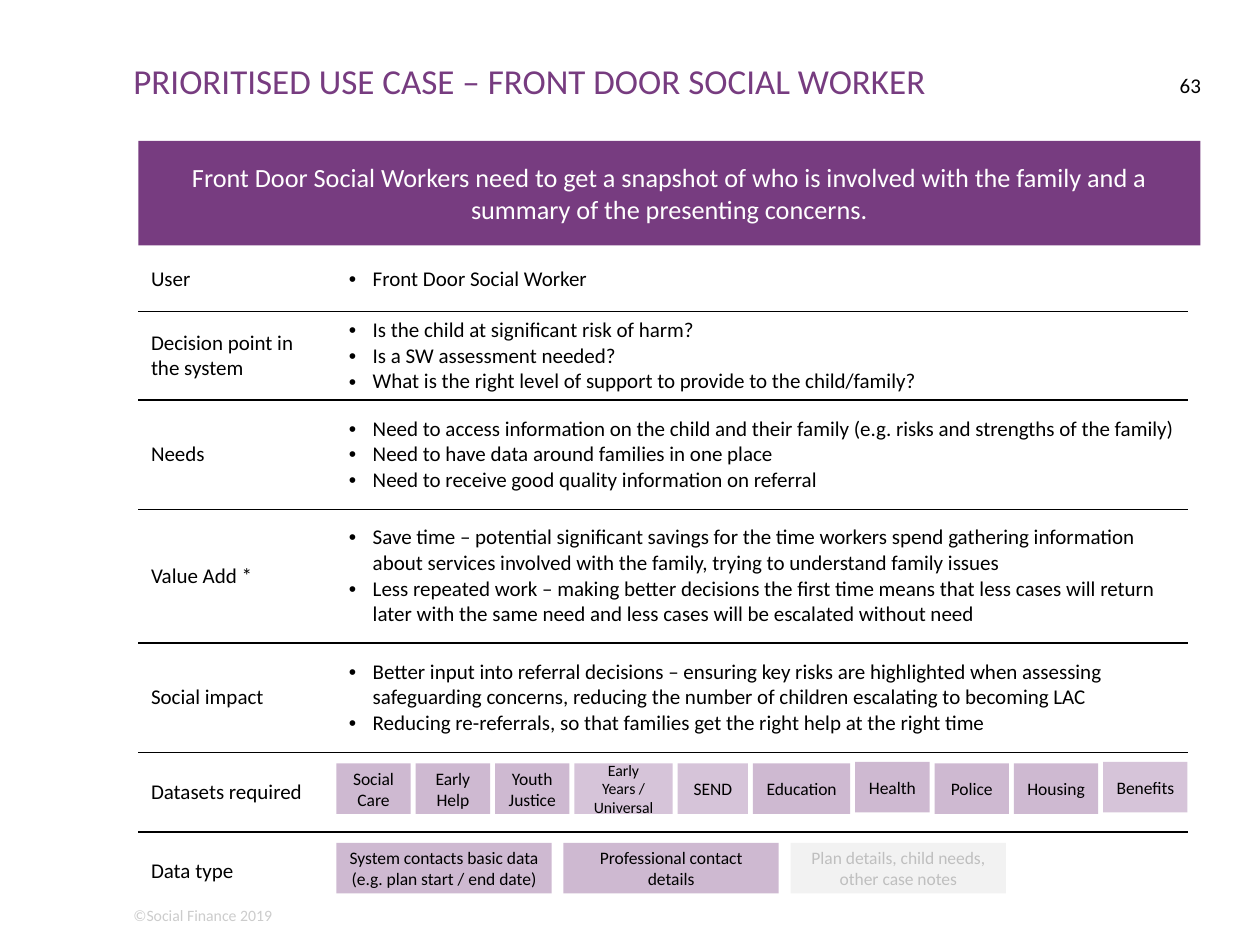
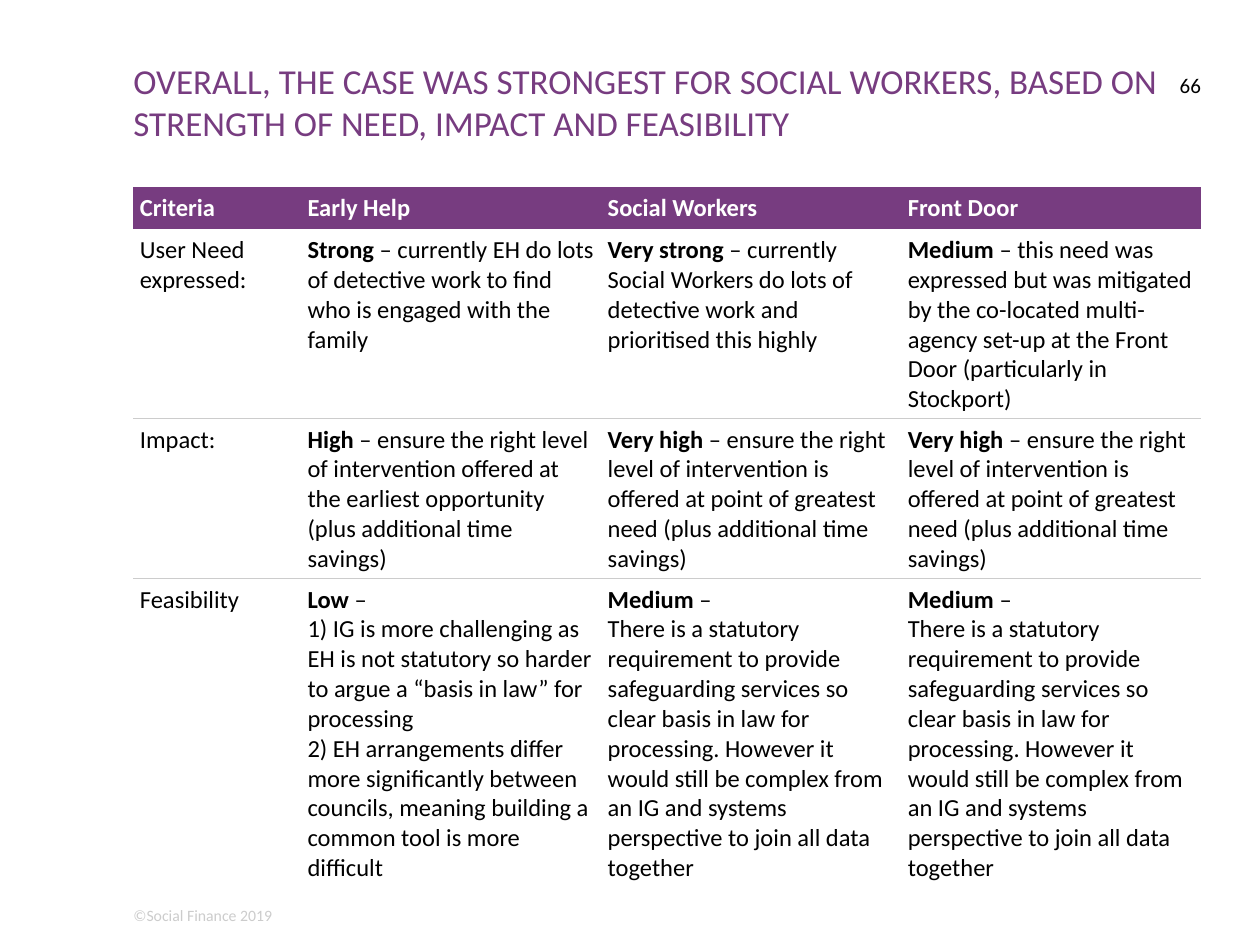
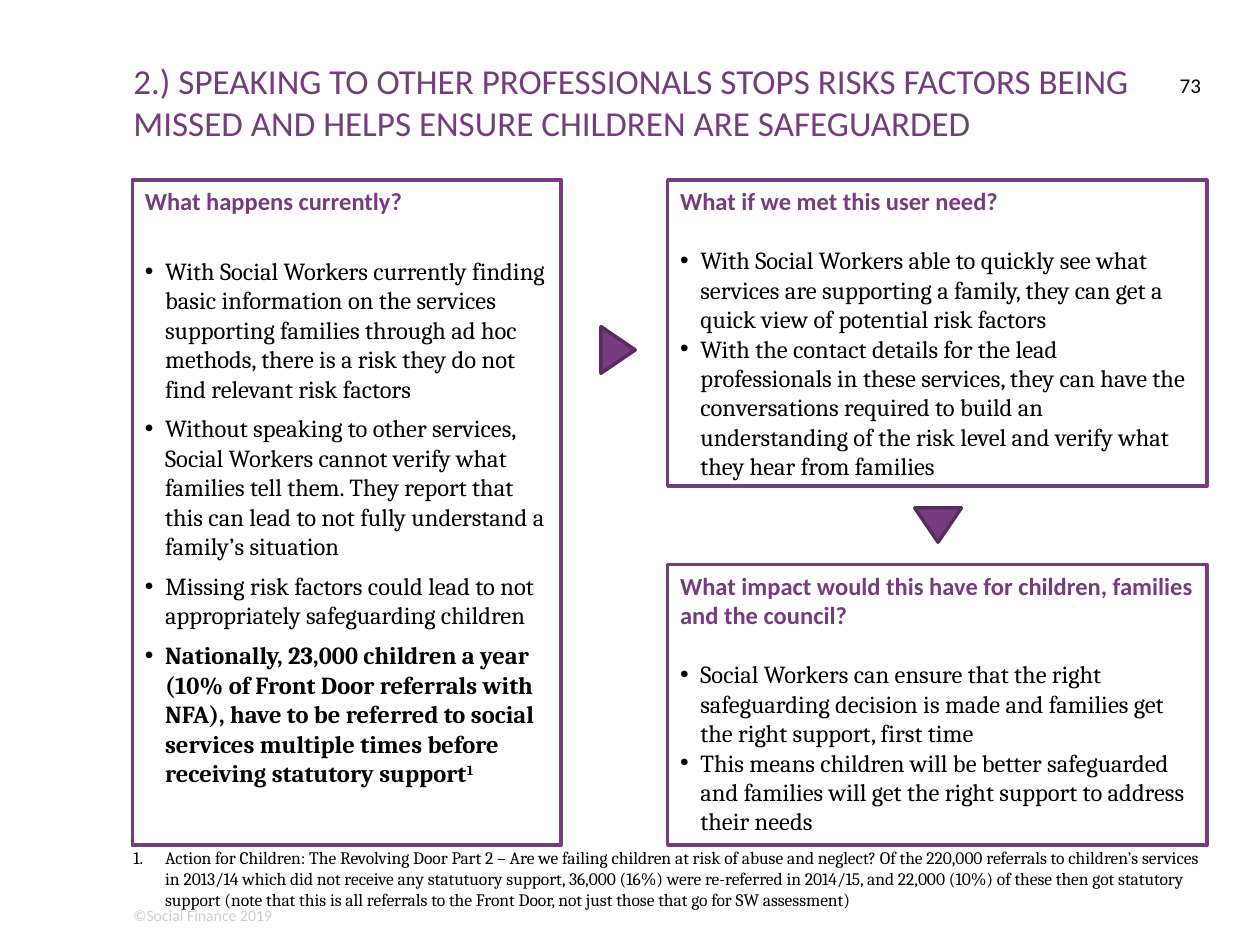
from dataclasses import dataclass
from typing import Any, Optional, Sequence

import pptx
import pptx.dml.color
import pptx.enum.shapes
import pptx.enum.text
import pptx.oxml.ns
import pptx.util
from lxml import etree

Cm = pptx.util.Cm
Pt = pptx.util.Pt
qn = pptx.oxml.ns.qn
ALIGN = pptx.enum.text.PP_ALIGN
ANCHOR = pptx.enum.text.MSO_ANCHOR
SHAPE = pptx.enum.shapes.MSO_SHAPE

COLORS = {
    "purple": "773C80",
    "dark_purple": "582C5F",
    "lilac": "CEB9D1",
    "pale_lilac": "D6C4D9",
    "light_grey": "F2F2F2",
    "mid_grey": "BFBFBF",
    "rule_grey": "CCCCCC",
    "black": "000000",
    "white": "FFFFFF",
}
HEADING_FONT, BODY_FONT = "Calibri", "Cambria"
NO_GRID_STYLE = "{2D5ABB26-0587-4C30-8999-92F81FD0307C}"
LEFT = 2.69


@dataclass(frozen=True)
class Box:
    """A place on the slide, in centimetres."""
    left: float
    top: float
    width: float
    height: float


@dataclass(frozen=True)
class Run:
    text: str
    bold: Optional[bool] = None
    superscript: bool = False


@dataclass(frozen=True)
class Para:
    runs: tuple[Run, ...]
    size: float = 12
    color: str = "black"
    font: str = HEADING_FONT
    bold: Optional[bool] = None
    align: Any = ALIGN.LEFT
    indent: float = 0
    bullet: str = ""
    before: float = 0


@dataclass(frozen=True)
class Chip:
    """A small labelled block in a row of blocks."""
    label: str
    width: float
    fill: str = "lilac"
    color: str = "black"
    size: float = 10
    rise: float = 0


@dataclass(frozen=True)
class UseCaseRow:
    label: str
    height: float
    points: tuple[str, ...] = ()


@dataclass(frozen=True)
class Verdict:
    rating: str
    reason: str
    details: tuple[str, ...] = ()


@dataclass(frozen=True)
class Criterion:
    label: str
    height: float
    verdicts: tuple[Verdict, ...]


@dataclass(frozen=True)
class Panel:
    box: Box
    heading: str
    points: tuple[tuple[Run, ...], ...]
    first_gap: float = 17
    gap: float = 0


def rgb(name: str) -> Any:
    return pptx.dml.color.RGBColor.from_string(COLORS[name])


def para(text: str, **style: Any) -> Para:
    return Para((Run(text),), **style)


def write(frame: Any, paras: Sequence[Para]) -> None:
    for index, item in enumerate(paras):
        line = frame.paragraphs[0] if index == 0 else frame.add_paragraph()
        line.alignment = item.align
        if item.before:
            line.space_before = Pt(item.before)
        if item.bullet:
            add_bullet(line, item.bullet, item.indent)
        line.font.size = Pt(item.size)
        line.font.name = item.font
        line.font.color.rgb = rgb(item.color)
        if item.bold is not None:
            line.font.bold = item.bold
        for part in item.runs:
            run = line.add_run()
            run.text = part.text
            if part.bold is not None:
                run.font.bold = part.bold
            if part.superscript:
                run._r.get_or_add_rPr().set("baseline", "30000")


def add_bullet(line: Any, bullet: str, indent: float) -> None:
    """Hang the paragraph on a bullet character, or on a number if bullet is "1."."""
    props = line._p.get_or_add_pPr()
    props.set("marL", str(Cm(indent)))
    props.set("indent", str(-Cm(indent)))
    if bullet == "1.":
        etree.SubElement(props, qn("a:buAutoNum"), type="arabicPeriod")
    else:
        etree.SubElement(props, qn("a:buFont"), typeface="Arial")
        etree.SubElement(props, qn("a:buChar"), char=bullet)


def place(box: Box) -> tuple[Any, ...]:
    return Cm(box.left), Cm(box.top), Cm(box.width), Cm(box.height)


def add_text(slide: Any, box: Box, item: Para) -> None:
    """Add a text box without inner margins."""
    frame = slide.shapes.add_textbox(*place(box)).text_frame
    frame.word_wrap = True
    frame.margin_left = frame.margin_right = frame.margin_top = frame.margin_bottom = 0
    write(frame, [item])


def add_block(slide: Any, box: Box, fill: str, paras: Sequence[Para] = (), line: str = "",
              anchor: Any = ANCHOR.MIDDLE, kind: Any = SHAPE.RECTANGLE) -> Any:
    block = slide.shapes.add_shape(kind, *place(box))
    block.shadow.inherit = False
    block.fill.solid()
    block.fill.fore_color.rgb = rgb(fill)
    if line:
        block.line.color.rgb = rgb(line)
        block.line.width = Pt(2)
    else:
        block.line.fill.background()
    block.text_frame.word_wrap = True
    block.text_frame.vertical_anchor = anchor
    write(block.text_frame, paras)
    return block


def add_chips(slide: Any, left: float, top: float, gap: float, chips: Sequence[Chip]) -> None:
    for chip in chips:
        label = para(chip.label, size=chip.size, color=chip.color, align=ALIGN.CENTER)
        add_block(slide, Box(left, top - chip.rise, chip.width, 1.02), chip.fill, [label])
        left += chip.width + gap


def add_grid(slide: Any, left: float, top: float, widths: Sequence[float],
             heights: Sequence[float]) -> Any:
    """Add a table without style, sized by its columns and rows."""
    box = Box(left, top, sum(widths), sum(heights))
    frame = slide.shapes.add_table(len(heights), len(widths), *place(box))
    grid = frame.table
    grid.first_row = grid.horz_banding = False
    grid._tbl.tblPr.find(qn("a:tableStyleId")).text = NO_GRID_STYLE
    for column, width in zip(grid.columns, widths):
        column.width = Cm(width)
    for row, height in zip(grid.rows, heights):
        row.height = Cm(height)
    for cell in grid.iter_cells():
        cell.fill.background()
    return grid


def rule_below(row: Any, color: str) -> None:
    for cell in row.cells:
        edge = etree.Element(qn("a:lnB"), w=str(Pt(1)))
        fill = etree.SubElement(edge, qn("a:solidFill"))
        etree.SubElement(fill, qn("a:srgbClr"), val=COLORS[color])
        cell._tc.get_or_add_tcPr().insert(0, edge)


def add_page(deck: Any, title: str, number: int, title_width: float) -> Any:
    slide = deck.slides.add_slide(deck.slide_layouts[6])
    add_text(slide, Box(LEFT, 18.26, 21.44, 0.38),
             para("©Social Finance 2019", size=9, color="rule_grey"))
    add_text(slide, Box(LEFT, 1.19, title_width, 1.88), para(title, size=20, color="purple"))
    add_text(slide, Box(23.5, 1.47, 0.71, 1.02), para(str(number), align=ALIGN.RIGHT))
    return slide


USE_CASE = (
    UseCaseRow("User", 1.3, ("Front Door Social Worker",)),
    UseCaseRow("Decision point in the system", 1.7, (
        "Is the child at significant risk of harm?",
        "Is a SW assessment needed?",
        "What is the right level of support to provide to the child/family?")),
    UseCaseRow("Needs", 2.21, (
        "Need to access information on the child and their family "
        "(e.g. risks and strengths of the family)",
        "Need to have data around families in one place",
        "Need to receive good quality information on referral")),
    UseCaseRow("Value Add *", 2.69, (
        "Save time – potential significant savings for the time workers spend gathering "
        "information about services involved with the family, trying to understand family issues",
        "Less repeated work – making better decisions the first time means that less cases will "
        "return later with the same need and less cases will be escalated without need")),
    UseCaseRow("Social impact", 2.21, (
        "Better input into referral decisions – ensuring key risks are highlighted when assessing "
        "safeguarding concerns, reducing the number of children escalating to becoming LAC",
        "Reducing re-referrals, so that families get the right help at the right time")),
    UseCaseRow("Datasets required", 1.6),
    UseCaseRow("Data type", 1.6),
)
DATASETS = (
    Chip("Social Care", 1.5),
    Chip("Early Help", 1.5),
    Chip("Youth Justice", 1.5),
    Chip("Early Years / Universal", 1.98, "pale_lilac", size=9),
    Chip("SEND", 1.42, "pale_lilac"),
    Chip("Education", 1.96),
    Chip("Health", 1.5, rise=0.03),
    Chip("Police", 1.5),
    Chip("Housing", 1.7),
    Chip("Benefits", 1.7, "pale_lilac", rise=0.03),
)
DATA_TYPES = (
    Chip("System contacts basic data (e.g. plan start / end date)", 4.34),
    Chip("Professional contact details", 4.34),
    Chip("Plan details, child needs, other case notes", 4.34, "light_grey", "mid_grey"),
)

USER_GROUPS = ("Criteria", "Early Help", "Social Workers", "Front Door")
GREATEST_NEED = Verdict(
    "Very high", " – ensure the right level of intervention is offered at point of greatest need "
    "(plus additional time savings)")
STATUTORY_BASIS = Verdict("Medium ", "–", (
    "There is a statutory requirement to provide safeguarding services so clear basis in law for "
    "processing. However it would still be complex from an IG and systems perspective to join "
    "all data together",))
CRITERIA = (
    Criterion("User Need expressed:", 3.35, (
        Verdict("Strong", " – currently EH do lots of detective work to find who is engaged "
                "with the family"),
        Verdict("Very strong", " – currently Social Workers do lots of detective work and "
                "prioritised this highly"),
        Verdict("Medium", " – this need was expressed but was mitigated by the co-located "
                "multi-agency set-up at the Front Door (particularly in Stockport)"))),
    Criterion("Impact:", 2.84, (
        Verdict("High", " – ensure the right level of intervention offered at the earliest "
                "opportunity (plus additional time savings)"),
        GREATEST_NEED, GREATEST_NEED)),
    Criterion("Feasibility", 5.97, (
        Verdict("Low ", "–", (
            "1) IG is more challenging as EH is not statutory so harder to argue a "
            "“basis in law” for processing",
            "2) EH arrangements differ more significantly between councils, meaning building a "
            "common tool is more difficult")),
        STATUTORY_BASIS, STATUTORY_BASIS)),
)

PANELS = (
    Panel(Box(2.67, 3.63, 8.64, 13.41), "What happens currently?", (
        (Run("With Social Workers currently finding basic information on the services supporting "
             "families through ad hoc methods, there is a risk they do not find relevant risk "
             "factors"),),
        (Run("Without speaking to other services, Social Workers cannot verify what families tell "
             "them. They report that this can lead to not fully understand a family’s "
             "situation"),),
        (Run("Missing risk factors could lead to not appropriately safeguarding children"),),
        (Run("Nationally, 23,000 children a year (10% of Front Door referrals with NFA), have to "
             "be referred to social services multiple times before receiving statutory support",
             bold=True),
         Run("1", bold=True, superscript=True))), first_gap=23, gap=6),
    Panel(Box(13.46, 3.63, 10.87, 6.17), "What if we met this user need?", (
        (Run("With Social Workers able to quickly see what services are supporting a family, they "
             "can get a quick view of potential risk factors"),),
        (Run("With the contact details for the lead professionals in these services, they can "
             "have the conversations required to build an understanding of the risk level and "
             "verify what they hear from families"),))),
    Panel(Box(13.46, 11.38, 10.87, 5.66),
          "What impact would this have for children, families and the council?", (
        (Run("Social Workers can ensure that the right safeguarding decision is made and families "
             "get the right support, first time"),),
        (Run("This means children will be better safeguarded and families will get the right "
             "support to address their needs"),))),
)
FOOTNOTE = (
    "Action for Children: The Revolving Door Part 2 – Are we failing children at risk of abuse "
    "and neglect? Of the 220,000 referrals to children’s services in 2013/14 which did not receive "
    "any statutuory support, 36,000 (16%) were re-referred in 2014/15, and 22,000 (10%) of these "
    "then got statutory support (note that this is all referrals to the Front Door, not just those "
    "that go for SW assessment)")


def build_use_case(deck: Any) -> None:
    slide = add_page(deck, "PRIORITISED USE CASE – FRONT DOOR SOCIAL WORKER", 63, 20.27)
    summary = para("Front Door Social Workers need to get a snapshot of who is involved with the "
                   "family and a summary of the presenting concerns.",
                   size=15, color="white", align=ALIGN.CENTER)
    add_block(slide, Box(2.79, 2.84, 21.41, 2.11), "purple", [summary])
    grid = add_grid(slide, 2.79, 4.98, (3.99, 17.17), [row.height for row in USE_CASE])
    for index, row in enumerate(USE_CASE):
        label, points = grid.cell(index, 0), grid.cell(index, 1)
        label.vertical_anchor = points.vertical_anchor = ANCHOR.MIDDLE
        write(label.text_frame, [para(row.label)])
        write(points.text_frame, [para(point, bullet="•", indent=0.48) for point in row.points])
        if row is not USE_CASE[-1]:
            rule_below(grid.rows[index], "black")
    add_chips(slide, 6.78, 16.99, 0.24, DATA_TYPES)
    add_chips(slide, 6.78, 15.39, 0.1, DATASETS)


def verdict_paras(verdict: Verdict) -> list[Para]:
    lead = Para((Run(verdict.rating, bold=True), Run(verdict.reason)), size=14)
    return [lead] + [para(detail, size=14) for detail in verdict.details]


def build_comparison(deck: Any) -> None:
    slide = add_page(deck, "OVERALL, THE CASE WAS STRONGEST FOR SOCIAL WORKERS, BASED ON STRENGTH "
                     "OF NEED, IMPACT AND FEASIBILITY", 66, 20.8)
    heights = [0.74] + [criterion.height for criterion in CRITERIA]
    grid = add_grid(slide, LEFT, 3.76, (3.38, 6.05, 6.05, 6.05), heights)
    grid.first_row = True
    for cell in grid.iter_cells():
        cell.margin_left = cell.margin_right = cell.margin_top = cell.margin_bottom = Cm(0.13)
    for cell, group in zip(grid.rows[0].cells, USER_GROUPS):
        cell.fill.solid()
        cell.fill.fore_color.rgb = rgb("purple")
        write(cell.text_frame, [para(group, size=14, color="white", bold=True)])
    for index, criterion in enumerate(CRITERIA, start=1):
        write(grid.cell(index, 0).text_frame, [para(criterion.label, size=14)])
        for column, verdict in enumerate(criterion.verdicts, start=1):
            write(grid.cell(index, column).text_frame, verdict_paras(verdict))
        if criterion is not CRITERIA[-1]:
            rule_below(grid.rows[index], "rule_grey")


def build_safeguarding(deck: Any) -> None:
    slide = add_page(deck, "2.) SPEAKING TO OTHER PROFESSIONALS STOPS RISKS FACTORS BEING MISSED "
                     "AND HELPS ENSURE CHILDREN ARE SAFEGUARDED", 73, 21.51)
    for panel in PANELS:
        paras = [para(panel.heading, size=14, color="purple", bold=True)]
        for index, runs in enumerate(panel.points):
            paras.append(Para(runs, size=14, font=BODY_FONT, bullet="•", indent=0.41,
                              before=panel.gap if index else panel.first_gap))
        add_block(slide, panel.box, "white", paras, "purple", ANCHOR.TOP)
    for left, top, turn in ((11.99, 6.71, 90), (18.44, 10.24, 180)):
        pointer = add_block(slide, Box(left, top, 0.94, 0.69), "purple", line="dark_purple",
                            kind=SHAPE.ISOSCELES_TRIANGLE)
        pointer.rotation = turn
    add_text(slide, Box(LEFT, 17.07, 21.56, 1.27),
             para(FOOTNOTE, size=10, font=BODY_FONT, bullet="1.", indent=0.64))


def main() -> None:
    deck = pptx.Presentation()
    deck.slide_width, deck.slide_height = Cm(25.4), Cm(19.05)
    build_use_case(deck)
    build_comparison(deck)
    build_safeguarding(deck)
    deck.save("out.pptx")


if __name__ == "__main__":
    main()
